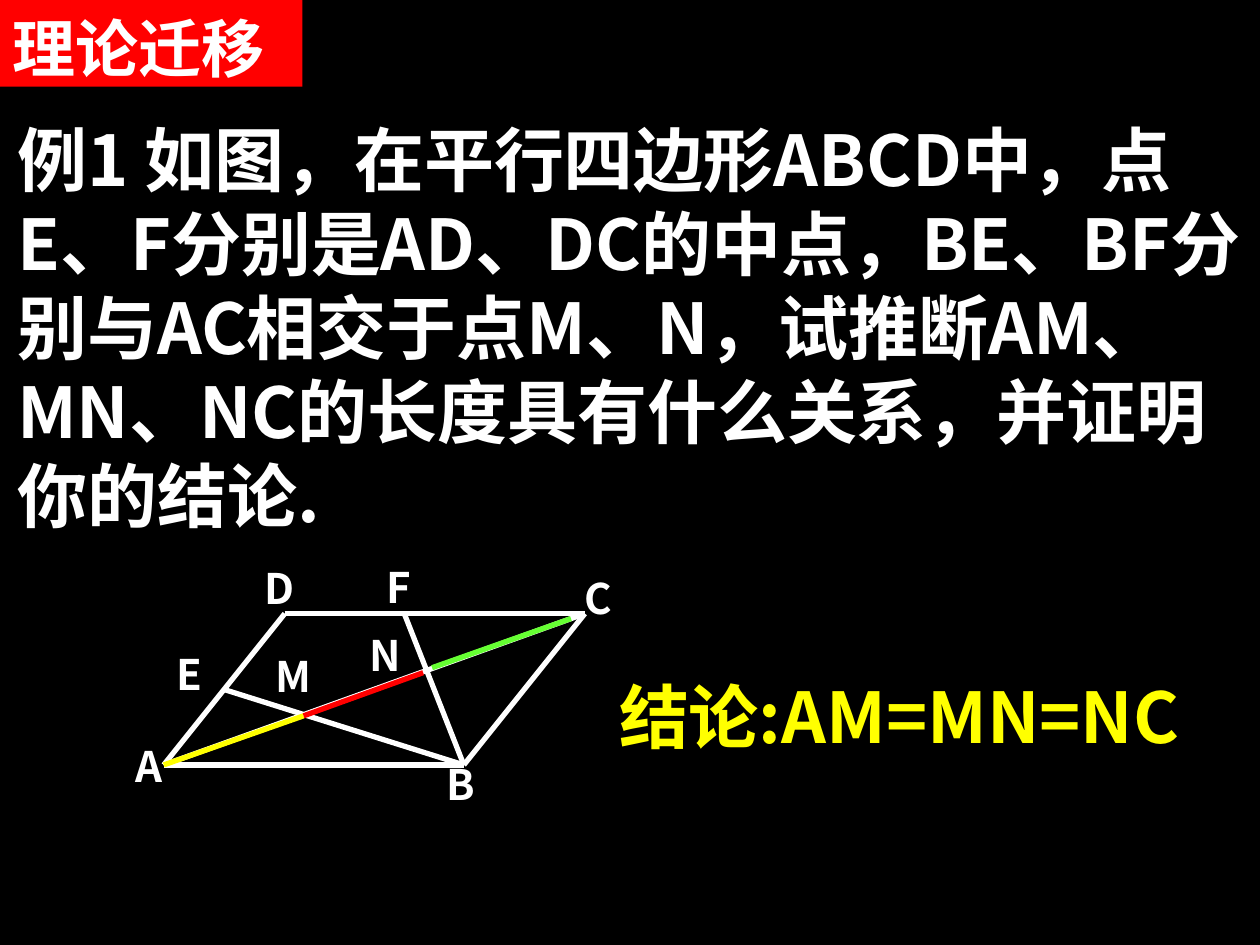
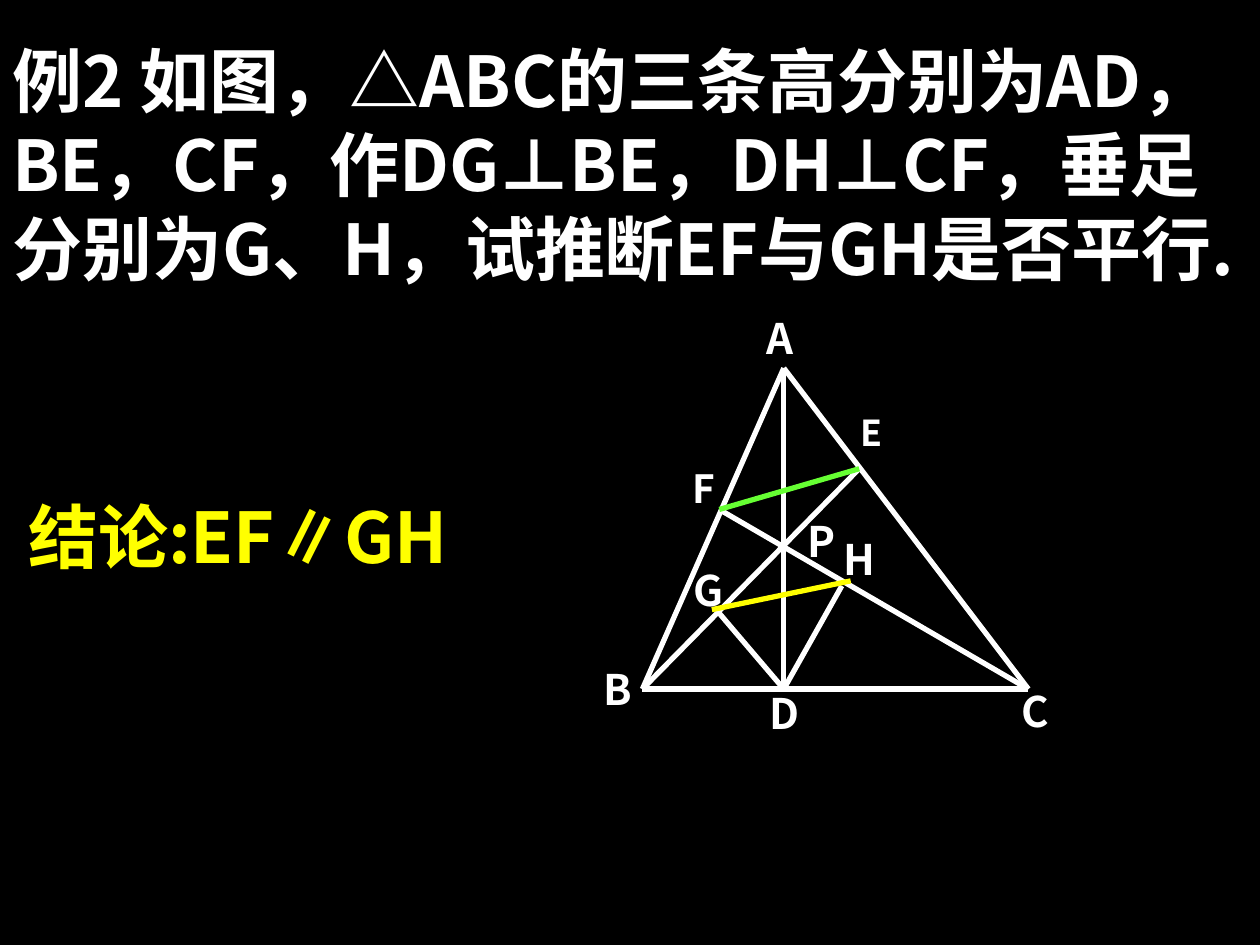
"""Build two geometry example slides: a parallelogram and a triangle with its altitudes."""
from lxml import etree
from pptx import Presentation
from pptx.dml.color import RGBColor
from pptx.enum.shapes import MSO_CONNECTOR, MSO_SHAPE
from pptx.enum.text import MSO_ANCHOR
from pptx.oxml.ns import qn
from pptx.util import Cm, Pt

STRAIGHT = MSO_CONNECTOR.STRAIGHT
RECTANGLE = MSO_SHAPE.RECTANGLE
TOP = MSO_ANCHOR.TOP
FONT = "Noto Sans CJK SC"
BLACK, WHITE, RED = "000000", "FFFFFF", "FF0000"
YELLOW, GREEN = "FFFF00", "66FF33"
LABEL_SIZE, BODY_SIZE, TITLE_SIZE = 24, 40, 36


def color(value):
    return RGBColor.from_string(value)


def write(shape, text, size, text_color=WHITE, font_name=FONT, spacing=1.2):
    frame = shape.text_frame
    frame.word_wrap = True
    frame.vertical_anchor = TOP
    frame.margin_top = Cm(0.13) + Pt(size * 0.07)
    paragraph = frame.paragraphs[0]
    paragraph.text = text
    paragraph.line_spacing = Pt(size * spacing)
    font = paragraph.font
    font.name, font.size, font.bold = font_name, Pt(size), True
    font.color.rgb = color(text_color)
    properties = paragraph._p.pPr.find(qn("a:defRPr"))
    etree.SubElement(properties, qn("a:ea")).set("typeface", FONT)


parallelogram = {
    "problem": ("例1 如图，在平行四边形ABCD中，点E、F分别是AD、DC的中点，BE、BF分别与AC相交于点M、N，"
                "试推断AM、MN、NC的长度具有什么关系，并证明你的结论.", 0.1, 2.13, 8.74),
    "points": {"A": (3.3, 15.42), "B": (9.35, 15.42), "C": (11.79, 12.37),
               "D": (5.74, 12.37), "E": (4.52, 13.9), "F": (8.15, 12.37),
               "M": (6.12, 14.43), "N": (8.53, 13.56)},
    "sides": "DC DA CB AB AC BE BF",
    "highlights": [((3.3, 15.42), (6.12, 14.43), YELLOW),
                   ((8.71, 13.46), (11.51, 12.47), GREEN),
                   ((6.12, 14.43), (8.53, 13.56), RED)],
    "labels": {"A": (2.49, 14.73), "B": (8.76, 15.11), "C": (11.53, 11.35),
               "D": (5.08, 11.15), "E": (3.3, 12.88), "F": (7.54, 11.13),
               "M": (5.31, 12.93), "N": (7.19, 12.5)},
    "small_labels": {},
    "conclusion": (" 结论:AM=MN=NC", 11.91, 13.34, 12.6),
}
triangle = {
    "problem": ("例2 如图，△ABC的三条高分别为AD，BE，CF，作DG⊥BE，DH⊥CF，垂足分别为G、H，"
                "试推断EF与GH是否平行.", 0, 0.53, 7.04),
    "points": {"A": (15.8, 7.42), "B": (12.95, 13.89), "C": (20.73, 13.89),
               "D": (15.8, 13.89), "E": (17.32, 9.45), "F": (14.5, 10.27),
               "G": (14.48, 12.34), "H": (16.97, 11.81)},
    "sides": "BC BA AC AD BE CF DG DH",
    "highlights": [((14.5, 10.27), (17.32, 9.45), GREEN),
                   ((14.35, 12.29), (17.15, 11.71), YELLOW)],
    "labels": {"A": (15.21, 6.12), "B": (11.91, 13.18), "C": (20.35, 13.64),
               "D": (15.27, 13.67), "E": (17.09, 8.18), "F": (13.72, 9.27),
               "P": (16.03, 10.21), "G": (13.74, 11.2), "H": (16.76, 10.57)},
    "small_labels": {"E": 20.4, "F": 22.2},
    "conclusion": (" 结论:EF∥GH", 0, 9.73, 11.71),
}

presentation = Presentation()
presentation.slide_width, presentation.slide_height = Cm(25.4), Cm(19.05)
blank_layout = presentation.slide_layouts[6]

for example in (parallelogram, triangle):
    slide = presentation.slides.add_slide(blank_layout)
    slide.background.fill.solid()
    slide.background.fill.fore_color.rgb = color(BLACK)

    text, left, top, height = example["problem"]
    problem = slide.shapes.add_textbox(Cm(left), Cm(top), Cm(25.4), Cm(height))
    write(problem, text, BODY_SIZE)

    points = example["points"]
    segments = [(points[start], points[end], WHITE) for start, end in example["sides"].split()]
    for start, end, line_color in segments + example["highlights"]:
        segment = slide.shapes.add_connector(STRAIGHT, *map(Cm, start + end))
        segment.line.color.rgb = color(line_color)
        segment.line.width = Pt(3)
        etree.SubElement(segment._element.spPr, qn("a:effectLst"))

    for name, (left, top) in example["labels"].items():
        label = slide.shapes.add_textbox(Cm(left), Cm(top), Cm(1.6), Cm(1.4))
        small_size = example["small_labels"].get(name)
        write(label, name, small_size or LABEL_SIZE, spacing=1.08 if small_size else 1.2)

    text, left, top, width = example["conclusion"]
    conclusion = slide.shapes.add_textbox(Cm(left), Cm(top), Cm(width), Cm(1.96))
    write(conclusion, text, BODY_SIZE, YELLOW)

banner = presentation.slides[0].shapes.add_shape(RECTANGLE, 0, Cm(-0.03), Cm(6.1), Cm(1.78))
banner.shadow.inherit = False
banner.fill.solid()
banner.fill.fore_color.rgb = color(RED)
banner.line.fill.background()
write(banner, "理论迁移", TITLE_SIZE, font_name="Arial")
banner.text_frame.paragraphs[0].alignment = 1

presentation.save("out.pptx")
